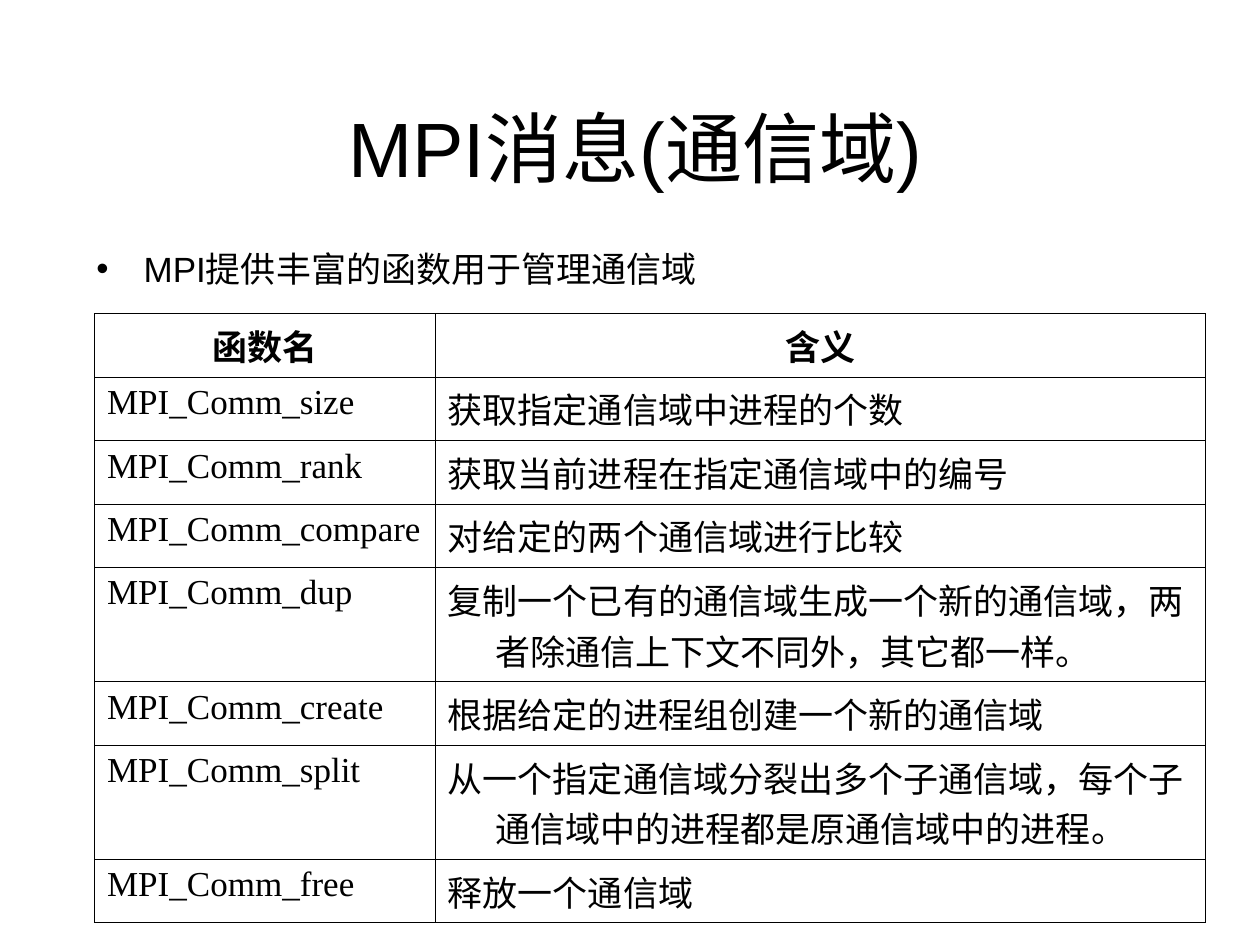
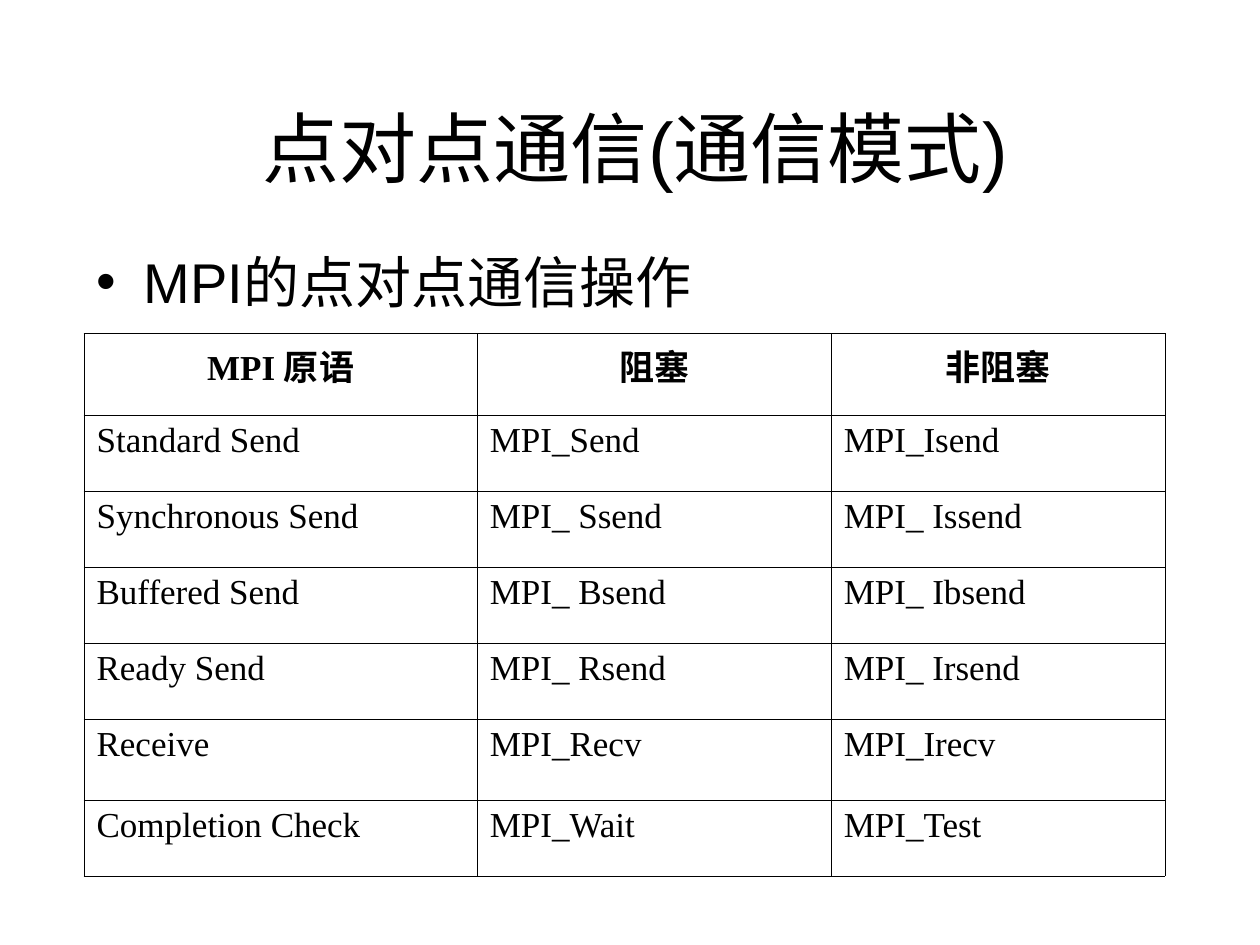
from lxml.etree import SubElement
from pptx import Presentation
from pptx.dml.color import RGBColor
from pptx.enum.lang import MSO_LANGUAGE_ID
from pptx.enum.text import MSO_ANCHOR, PP_ALIGN
from pptx.oxml.ns import qn
from pptx.util import Pt

COLORS = {"ink": "000000", "page": "FFFFFF"}
SANS, SERIF = "Arial", "Times New Roman"
HANG = Pt(27)
RULE = Pt(0.45)
ONE, TWO = 36.3, 65.2  # row heights for one and two lines of text

SLIDES = [
    {
        "title": "MPI消息(通信域)",
        "point": "MPI提供丰富的函数用于管理通信域",
        "size": 20,
        "left": 54, "top": 179.1,
        "cols": [194.7, 440.3],
        "rows": [ONE, ONE, ONE, ONE, TWO, ONE, TWO, ONE],
        "fonts": [SERIF, SANS],
        "head": SANS,
        "cells": [
            ["函数名", "含义"],
            ["MPI_Comm_size", "获取指定通信域中进程的个数"],
            ["MPI_Comm_rank", "获取当前进程在指定通信域中的编号"],
            ["MPI_Comm_compare", "对给定的两个通信域进行比较"],
            ["MPI_Comm_dup", "复制一个已有的通信域生成一个新的通信域，两者除通信上下文不同外，其它都一样。"],
            ["MPI_Comm_create", "根据给定的进程组创建一个新的通信域"],
            ["MPI_Comm_split", "从一个指定通信域分裂出多个子通信域，每个子通信域中的进程都是原通信域中的进程。"],
            ["MPI_Comm_free", "释放一个通信域"],
        ],
    },
    {
        "title": "点对点通信(通信模式)",
        "point": "MPI的点对点通信操作",
        "size": 32,
        "left": 48, "top": 190.5,
        "cols": [224.7, 202.3, 190.8],
        "rows": [46.8, 43.4, 43.4, 43.4, 43.4, 46.4, 43.4],
        "fonts": [SERIF, SERIF, SERIF],
        "head": SERIF,
        "cells": [
            ["MPI 原语", "阻塞", "非阻塞"],
            ["Standard Send", "MPI_Send", "MPI_Isend"],
            ["Synchronous Send", "MPI_ Ssend", "MPI_ Issend"],
            ["Buffered Send", "MPI_ Bsend", "MPI_ Ibsend"],
            ["Ready Send", "MPI_ Rsend", "MPI_ Irsend"],
            ["Receive", "MPI_Recv", "MPI_Irecv"],
            ["Completion Check", "MPI_Wait", "MPI_Test"],
        ],
    },
]


def write(frame, text, size, face, bold=False, center=False, hang=True, bullet=False):
    """Fill a text frame with one styled paragraph."""
    frame.word_wrap = True
    para = frame.paragraphs[0]
    para.text = text
    para.alignment = PP_ALIGN.CENTER if center else PP_ALIGN.LEFT
    props = para._p.get_or_add_pPr()
    if hang:
        props.set("marL", str(HANG))
        props.set("indent", str(-HANG))
    if bullet:
        SubElement(props, qn("a:buFont"), typeface=SANS)
        SubElement(props, qn("a:buChar"), char="•")
    for run in para.runs:
        font = run.font
        font.size, font.name, font.bold = Pt(size), face, bold
        font.color.rgb = RGBColor.from_string(COLORS["ink"])
        font.language_id = MSO_LANGUAGE_ID.SIMPLIFIED_CHINESE


def frame_cell(cell):
    """Rule all four sides of a cell and leave it unfilled."""
    props = cell._tc.get_or_add_tcPr()
    for side in "LRTB":
        line = SubElement(props, qn(f"a:ln{side}"), w=str(RULE))
        fill = SubElement(line, qn("a:solidFill"))
        SubElement(fill, qn("a:srgbClr"), val=COLORS["ink"])
    cell.fill.background()


deck = Presentation()
deck.slide_width, deck.slide_height = Pt(720), Pt(540)

for data in SLIDES:
    slide = deck.slides.add_slide(deck.slide_layouts[6])
    slide.background.fill.solid()
    slide.background.fill.fore_color.rgb = RGBColor.from_string(COLORS["page"])

    title = slide.shapes.add_textbox(Pt(54), Pt(54), Pt(618), Pt(60))
    title.text_frame.vertical_anchor = MSO_ANCHOR.MIDDLE
    write(title.text_frame, data["title"], 44, SANS, center=True, hang=False)

    body = slide.shapes.add_textbox(Pt(48), Pt(138), Pt(618), Pt(174))
    write(body.text_frame, data["point"], data["size"], SANS, bullet=True)

    cols, rows = data["cols"], data["rows"]
    table = slide.shapes.add_table(
        len(rows), len(cols), Pt(data["left"]), Pt(data["top"]),
        Pt(sum(cols)), Pt(sum(rows))).table
    table.first_row = table.horz_banding = False
    for col, width in zip(table.columns, cols):
        col.width = Pt(width)
    for row, height in zip(table.rows, rows):
        row.height = Pt(height)
    for r, line in enumerate(data["cells"]):
        for c, text in enumerate(line):
            cell = table.cell(r, c)
            face = data["fonts"][c] if r else data["head"]
            write(cell.text_frame, text, 20, face, bold=r == 0, center=r == 0)
            frame_cell(cell)

deck.save("out.pptx")
